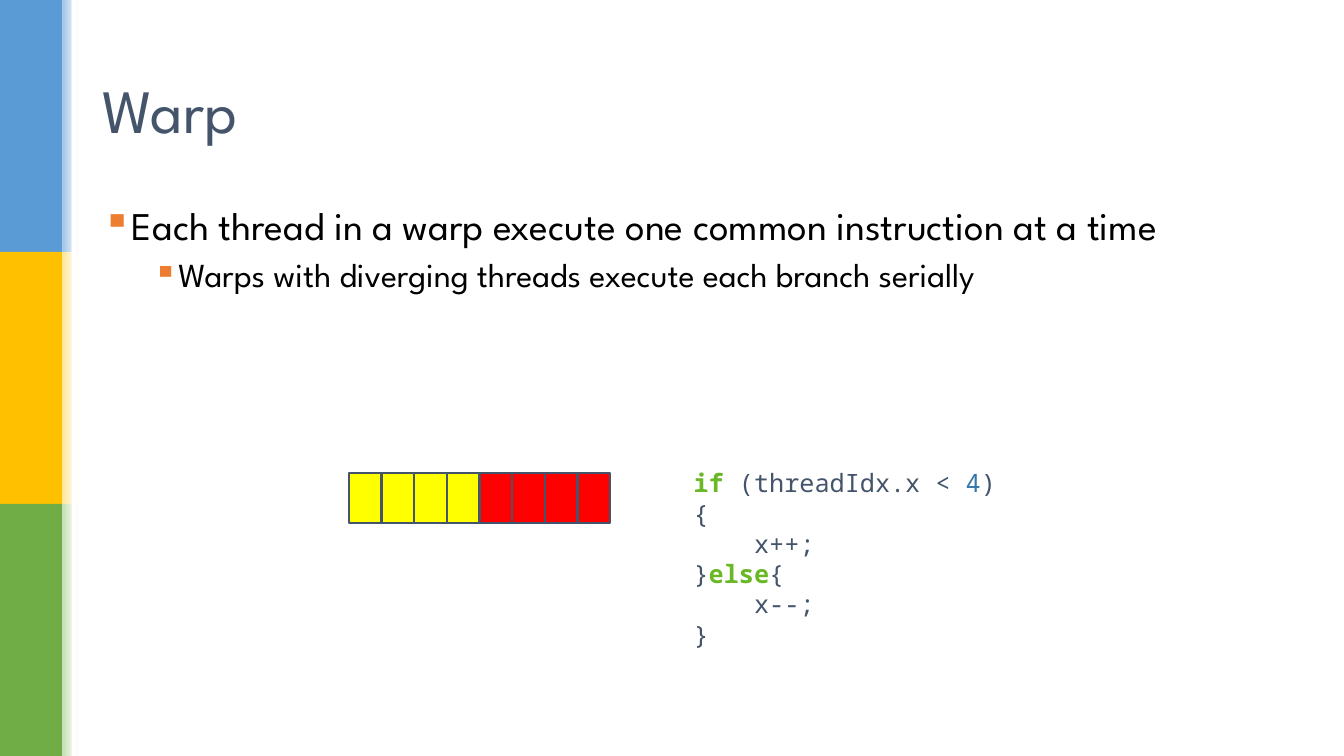
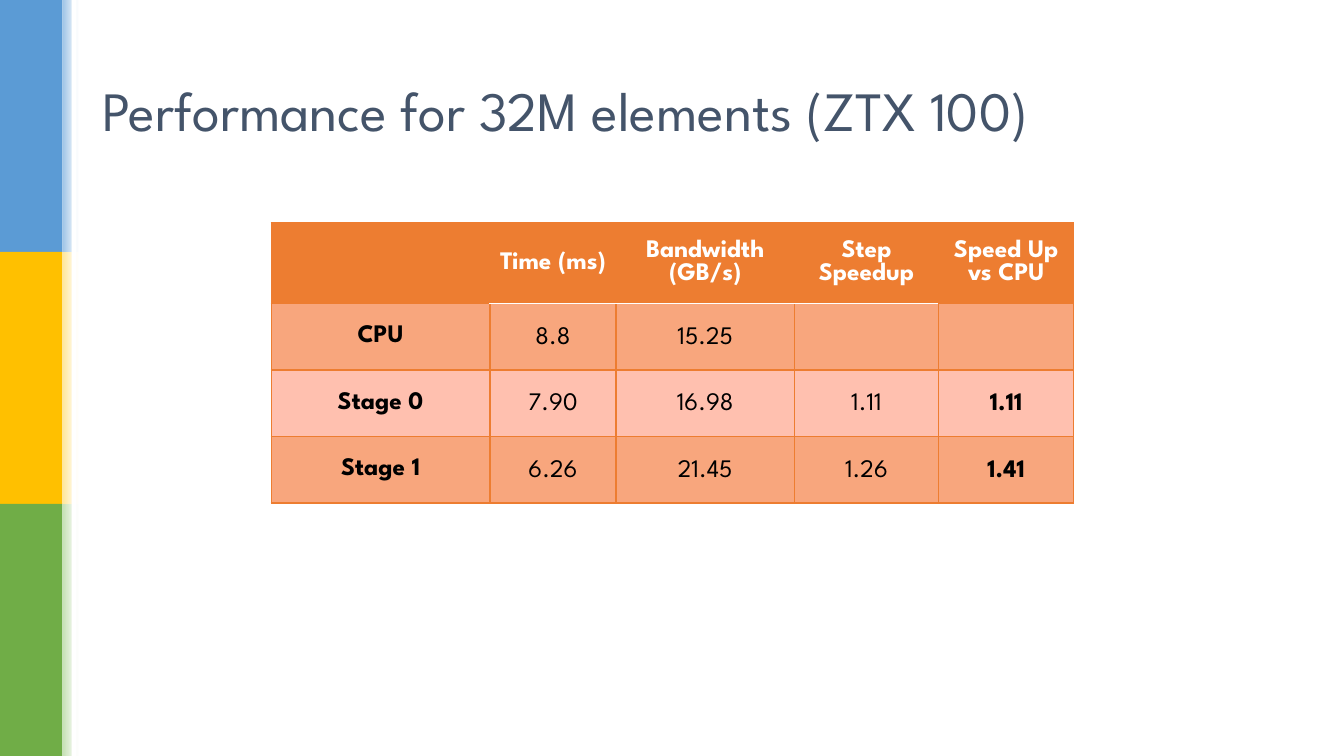
from itertools import product
from pptx import Presentation
from pptx.dml.color import RGBColor
from pptx.enum.shapes import MSO_SHAPE
from pptx.enum.text import MSO_ANCHOR, PP_ALIGN
from pptx.oxml.ns import qn
from pptx.util import Inches, Pt
from lxml.etree import SubElement

WIDE, HIGH = 13.33, 7.5
SANS, MONO = "League Spartan", "Noto Sans Mono"
HUES = {
    "white": "FFFFFF", "black": "000000", "slate": "44546A",
    "blue": "5B9BD5", "gold": "FFC000", "green": "70AD47",
    "pale blue": "9DC3E6", "pale gold": "FFE699", "pale green": "C5E0B4",
    "orange": "ED7D31", "peach": "F8A67D", "pink": "FFC0AF",
    "yellow": "FFFF00", "red": "FF0000", "key": "6AB825", "digit": "3677A9",
}
BANDS = ["blue", "gold", "green"]
POINTS = [
    (0, 28, "Each thread in a warp execute one common instruction at a time"),
    (1, 24, "Warps with diverging threads execute each branch serially"),
]
CODE = [
    (0, [("if ", "key"), ("(threadIdx.x < ", "slate"), ("4", "digit"), (")", "slate")]),
    (0, [("{", "slate")]),
    (1, [("x++;", "slate")]),
    (0, [("}", "slate"), ("else", "key"), ("{", "slate")]),
    (1, [("x--;", "slate")]),
    (0, [("}", "slate")]),
]
LANES = ["yellow"] * 4 + ["red"] * 4
COLS = [2.17, 1.25, 1.77, 1.43, 1.34]
ROWS = [
    ("", "Time (ms)", "Bandwidth (GB/s)", "Step Speedup", "Speed Up vs CPU"),
    ("CPU", "8.8", "15.25", "", ""),
    ("Stage 0", "7.90", "16.98", "1.11", "1.11"),
    ("Stage 1", "6.26", "21.45", "1.26", "1.41"),
]
FILLS = ["orange", "peach", "pink", "peach"]


def rgb(hue):
    return RGBColor.from_string(HUES[hue])


def place(*box):
    return [Inches(part) for part in box]


def write(para, text, size, hue, bold=False, font=SANS):
    run = para.add_run()
    run.text = text
    run.font.size, run.font.name, run.font.bold = Pt(size), font, bold
    run.font.color.rgb = rgb(hue)


def block(slide, box, lines, anchor=MSO_ANCHOR.MIDDLE):
    frame = slide.shapes.add_textbox(*place(*box)).text_frame
    frame.word_wrap, frame.vertical_anchor = True, anchor
    for _ in range(lines - 1):
        frame.add_paragraph()
    return frame


def rect(slide, box, hue, line=None, fade=False):
    shape = slide.shapes.add_shape(MSO_SHAPE.RECTANGLE, *place(*box))
    shape.shadow.inherit = False
    if fade:
        shape.fill.gradient()
        shape.fill.gradient_angle = 0
        for stop, tint in zip(shape.fill.gradient_stops, (hue, "white")):
            stop.color.rgb = rgb(tint)
    else:
        shape.fill.solid()
        shape.fill.fore_color.rgb = rgb(hue)
    if line:
        shape.line.color.rgb, shape.line.width = rgb(line), Pt(1.5)
    else:
        shape.line.fill.background()


def start(deck, title, size):
    slide = deck.slides.add_slide(deck.slide_layouts[6])
    step = HIGH / len(BANDS)
    for row, hue in enumerate(BANDS):
        rect(slide, (0, row * step, 0.62, step), hue)
        rect(slide, (0.62, row * step, 0.16, step), "pale " + hue, fade=True)
    rect(slide, (0.71, 0, 0.05, HIGH), "white")
    head = block(slide, (0.92, 0.4, 11.5, 1.45), 1).paragraphs[0]
    head.line_spacing = 0.9
    write(head, title, size, "slate")
    return slide


def indent(para, left, hang=0):
    props = para._p.get_or_add_pPr()
    props.set("marL", str(Inches(left)))
    props.set("indent", str(Inches(-hang)))
    return props


def bullet(para, level):
    props = indent(para, 0.25 + level * 0.5, 0.25)
    tint = SubElement(SubElement(props, qn("a:buClr")), qn("a:srgbClr"))
    tint.set("val", HUES["orange"])
    SubElement(props, qn("a:buChar")).set("char", "▪")


def border(cell, sides):
    props = cell._tc.get_or_add_tcPr()
    for spot, (side, hue, width) in enumerate(sides):
        line = props.makeelement(qn("a:ln" + side), {"w": str(Pt(width))})
        tint = SubElement(SubElement(line, qn("a:solidFill")), qn("a:srgbClr"))
        tint.set("val", HUES[hue])
        props.insert(spot, line)


def warp(deck):
    slide = start(deck, "Warp", 44)
    body = block(slide, (0.92, 2, 11.5, 4.76), len(POINTS), MSO_ANCHOR.TOP)
    for para, (level, size, text) in zip(body.paragraphs, POINTS):
        para.line_spacing, para.space_before = 0.9, Pt(size * 0.3)
        bullet(para, level)
        write(para, text, size, "black")
    code = block(slide, (6.78, 4.53, 3.28, 2.02), len(CODE))
    code.margin_top = code.margin_bottom = Inches(0.1)
    for para, (depth, parts) in zip(code.paragraphs, CODE):
        indent(para, depth * 0.6)
        for text, hue in parts:
            write(para, text, 18, hue, hue == "key", MONO)
    for lane, hue in enumerate(LANES):
        rect(slide, (3.46 + lane * 0.324, 4.69, 0.324, 0.5), hue, "slate")


def speed(deck):
    slide = start(deck, "Performance for 32M elements (ZTX 100)", 39.6)
    tall = 0.66
    box = place(2.69, 2.21, sum(COLS), tall * len(ROWS))
    grid = slide.shapes.add_table(len(ROWS), len(COLS), *box).table
    for col, wide in zip(grid.columns, COLS):
        col.width = Inches(wide)
    for row in grid.rows:
        row.height = Inches(tall)
    last = len(COLS) - 1
    for row, col in product(range(len(ROWS)), range(len(COLS))):
        cell = grid.cell(row, col)
        cell.fill.solid()
        cell.fill.fore_color.rgb = rgb(FILLS[row])
        cell.vertical_anchor = MSO_ANCHOR.MIDDLE
        cell.margin_left = cell.margin_right = Inches(0.1)
        cell.margin_top = cell.margin_bottom = Inches(0.1)
        inner = 0 < col < last
        top = ("white", 1.5) if row == 1 and inner else ("orange", 1)
        base = ("white", 1.5) if row == 0 and inner else ("orange", 1)
        border(cell, [("L", "orange", 1), ("R", "orange", 1), ("T", *top), ("B", *base)])
        para = cell.text_frame.paragraphs[0]
        para.alignment = PP_ALIGN.CENTER
        if row and col:
            para.line_spacing = 1.15
        if ROWS[row][col]:
            hue = "black" if row else "white"
            write(para, ROWS[row][col], 18, hue, row == 0 or not inner)


deck = Presentation()
deck.slide_width, deck.slide_height = place(WIDE, HIGH)
warp(deck)
speed(deck)
deck.save("out.pptx")
